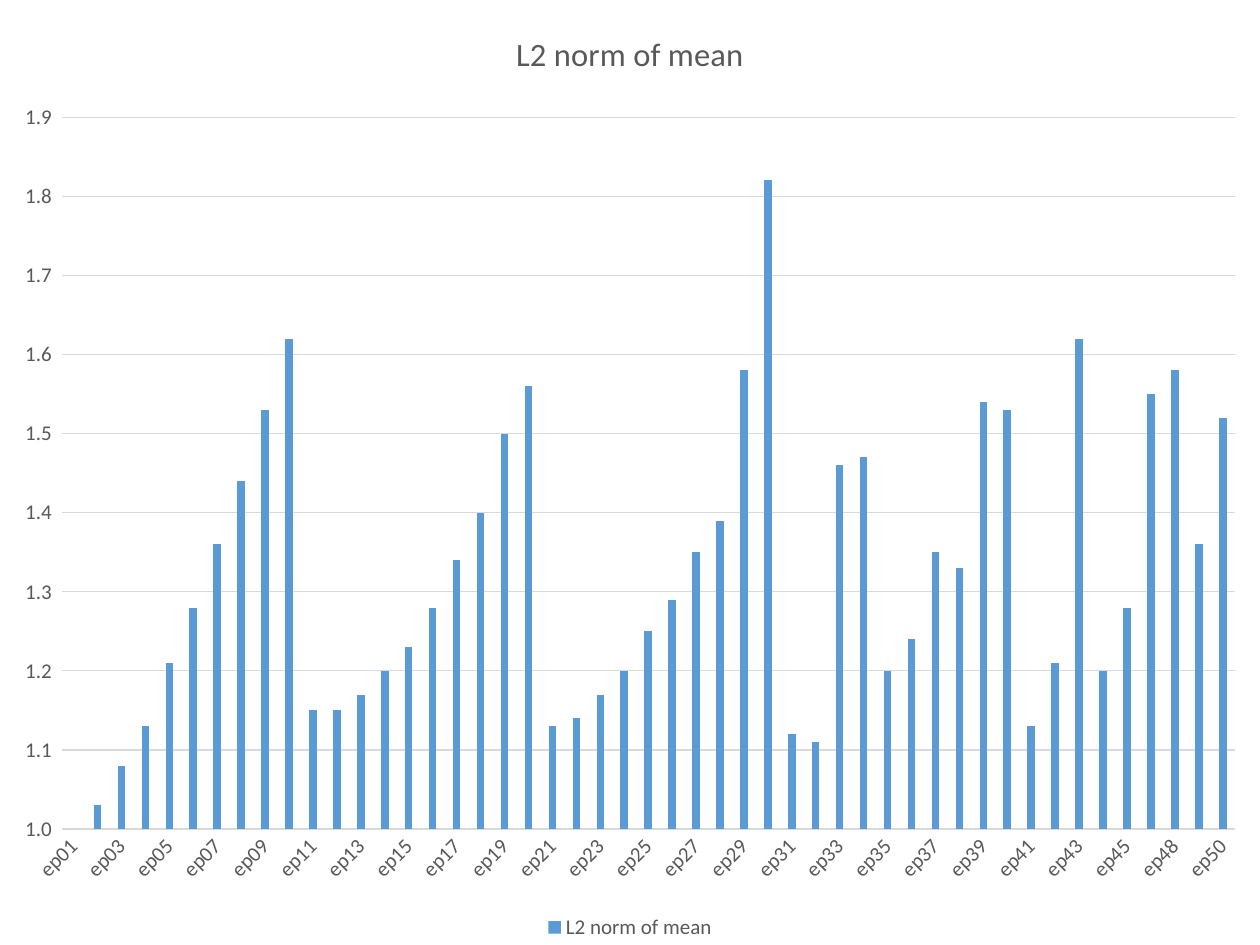
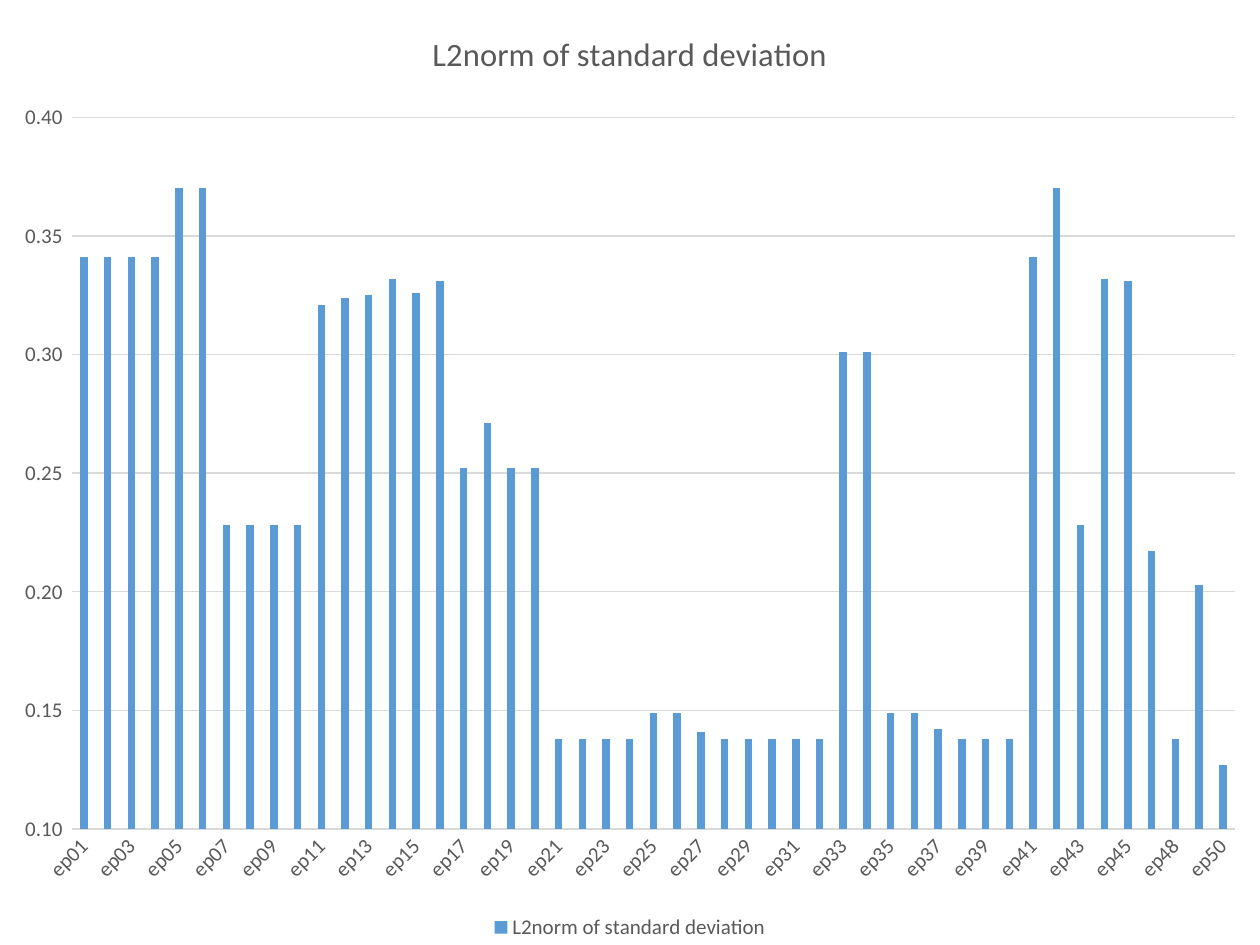
from dataclasses import dataclass
from typing import Optional

from pptx import Presentation, util as u
from pptx.chart.data import CategoryChartData
from pptx.dml.color import RGBColor
from pptx.enum import chart as ch

FONT = "Calibri"
BLACK = "000000"
GREY = "595959"
RULE = "D9D9D9"
BLUE = "5B9BD5"
WIDE, HIGH = u.Cm(25.4), u.Cm(19.05)
EPS = [f"ep{n:02d}" for n in range(1, 51) if n != 47]


@dataclass
class Plot:
    name: str
    form: str
    low: float
    high: Optional[float]
    vals: list[float]


PLOTS = [
    Plot("L2 norm of mean", "0.0_ ", 1, 1.9, [
        0.99, 1.03, 1.08, 1.13, 1.21, 1.28, 1.36, 1.44, 1.53, 1.62,
        1.15, 1.15, 1.17, 1.2, 1.23, 1.28, 1.34, 1.4, 1.5, 1.56,
        1.13, 1.14, 1.17, 1.2, 1.25, 1.29, 1.35, 1.39, 1.58, 1.82,
        1.12, 1.11, 1.46, 1.47, 1.2, 1.24, 1.35, 1.33, 1.54, 1.53,
        1.13, 1.21, 1.62, 1.2, 1.28, 1.55, 1.58, 1.36, 1.52]),
    Plot("L2norm of standard deviation", "0.00_ ", 0.1, None, [
        0.341, 0.341, 0.341, 0.341, 0.37, 0.37, 0.228, 0.228, 0.228, 0.228,
        0.321, 0.324, 0.325, 0.332, 0.326, 0.331, 0.252, 0.271, 0.252, 0.252,
        0.138, 0.138, 0.138, 0.138, 0.149, 0.149, 0.141, 0.138, 0.138, 0.138,
        0.138, 0.138, 0.301, 0.301, 0.149, 0.149, 0.142, 0.138, 0.138, 0.138,
        0.341, 0.37, 0.228, 0.332, 0.331, 0.217, 0.138, 0.203, 0.127]),
]


def tint(code: str) -> RGBColor:
    return RGBColor.from_string(code)


def style(font, size: float, code: str = GREY) -> None:
    font.name = FONT
    font.size = u.Pt(size)
    font.bold = False
    font.color.rgb = tint(code)


def rule(line) -> None:
    line.color.rgb = tint(RULE)
    line.width = u.Pt(0.75)


def head(chart, words: str) -> None:
    chart.has_title = True
    run = chart.chart_title.text_frame.paragraphs[0].add_run()
    run.text = words
    style(run.font, 18.6)
    chart.chart_title.include_in_layout = False


def axes(chart, plot: Plot) -> None:
    cat, val = chart.category_axis, chart.value_axis
    for axis in (cat, val):
        axis.major_tick_mark = ch.XL_TICK_MARK.NONE
        axis.minor_tick_mark = ch.XL_TICK_MARK.NONE
        style(axis.tick_labels.font, 12)
        axis._element.txPr.bodyPr.set("rot", "-60000000")
    cat.has_major_gridlines = False
    rule(cat.format.line)
    val.has_major_gridlines = True
    rule(val.major_gridlines.format.line)
    val.format.line.fill.background()
    val.minimum_scale = plot.low
    val.maximum_scale = plot.high
    val.tick_labels.number_format = plot.form
    val.tick_labels.number_format_is_linked = False


def bars(chart) -> None:
    group = chart.plots[0]
    group.gap_width = 219
    group.overlap = -27
    group.vary_by_categories = False
    fill = group.series[0].format.fill
    fill.solid()
    fill.fore_color.rgb = tint(BLUE)


def key(chart) -> None:
    chart.has_legend = True
    chart.legend.position = ch.XL_LEGEND_POSITION.BOTTOM
    chart.legend.include_in_layout = False
    style(chart.legend.font, 12)


def draw(slide, plot: Plot) -> None:
    data = CategoryChartData()
    data.categories = EPS
    data.add_series(plot.name, plot.vals)
    chart = slide.shapes.add_chart(
        ch.XL_CHART_TYPE.COLUMN_CLUSTERED, 0, 0, WIDE, HIGH, data).chart
    style(chart.font, 10, BLACK)
    head(chart, plot.name)
    axes(chart, plot)
    bars(chart)
    key(chart)


def main() -> None:
    deck = Presentation()
    deck.slide_width, deck.slide_height = WIDE, HIGH
    for plot in PLOTS:
        draw(deck.slides.add_slide(deck.slide_layouts[6]), plot)
    deck.save("out.pptx")


main()
